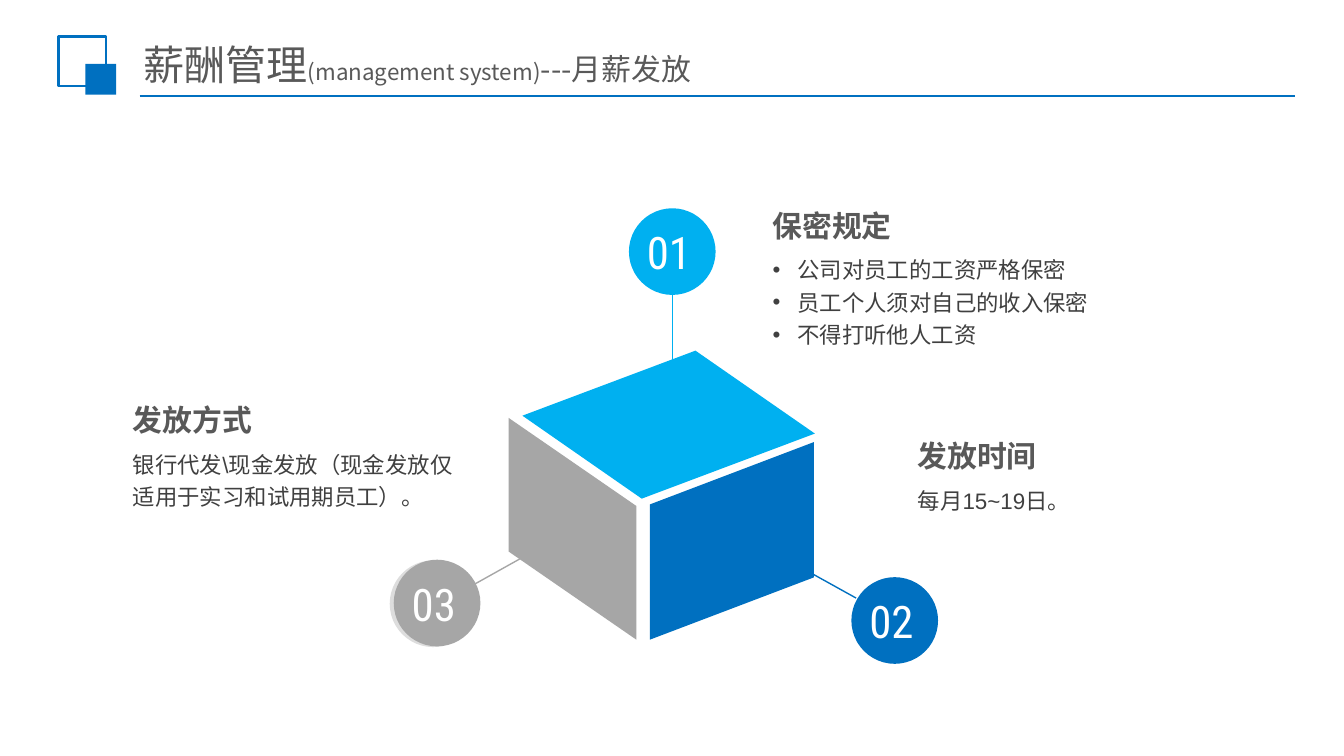
from typing import NamedTuple

from lxml import etree
from pptx import Presentation
from pptx.dml.color import RGBColor
from pptx.enum.shapes import MSO_CONNECTOR, MSO_SHAPE
from pptx.enum.text import MSO_ANCHOR, MSO_AUTO_SIZE, PP_ALIGN
from pptx.oxml.ns import qn
from pptx.util import Pt

PX = 4572
BLUE = RGBColor(0x00, 0x70, 0xC0)
SKY = RGBColor(0x00, 0xB0, 0xF0)
GRAY = RGBColor(0xA6, 0xA6, 0xA6)
PALE = RGBColor(0xDD, 0xDD, 0xDD)
WHITE = RGBColor(0xFF, 0xFF, 0xFF)
HEAD = RGBColor(0x59, 0x59, 0x59)
BODY = RGBColor(0x40, 0x40, 0x40)
RECT = MSO_SHAPE.RECTANGLE
OVAL = MSO_SHAPE.OVAL
SLANT = MSO_SHAPE.PARALLELOGRAM
STRAIGHT = MSO_CONNECTOR.STRAIGHT
GROW = MSO_AUTO_SIZE.SHAPE_TO_FIT_TEXT
FIXED = MSO_AUTO_SIZE.NONE
MIDDLE = MSO_ANCHOR.MIDDLE
LEFT = PP_ALIGN.LEFT
CJK = "Noto Sans CJK SC"
DISC = 129


class Box(NamedTuple):
    x: int
    y: int
    w: int
    h: int


class Face(NamedTuple):
    box: Box
    turn: float
    flip: str
    slant: float
    color: RGBColor


class Link(NamedTuple):
    x1: int
    y1: int
    x2: int
    y2: int
    color: RGBColor
    width: float = 0.75


class Badge(NamedTuple):
    num: str
    x: int
    y: int
    color: RGBColor


class Note(NamedTuple):
    x: int
    y: int
    head: str
    lines: list[str]
    high: int
    dots: bool = False


FACES = [
    Face(Box(796, 543, 398, 178), 339.4, "flipV", 0.69, SKY),
    Face(Box(687, 692, 330, 190), 90, "", 0.69, GRAY),
    Face(Box(942, 683, 294, 244), 90, "flipH", 0.38, BLUE),
]
LINKS = [
    Link(1001, 622, 1001, 438, SKY),
    Link(1090, 788, 1274, 890, BLUE),
    Link(852, 788, 698, 874, GRAY),
]
BADGES = [
    Badge("01", 936, 310, SKY),
    Badge("02", 1267, 859, BLUE),
    Badge("03", 586, 833, GRAY),
]
NOTES = [
    Note(1130, 299, "保密规定", [
        "公司对员工的工资严格保密",
        "员工个人须对自己的收入保密",
        "不得打听他人工资",
    ], 166, True),
    Note(178, 588, "发放方式",
         ["银行代发\\现金发放（现金发放仅适用于实习和试用期员工）。"], 118),
    Note(1346, 642, "发放时间", ["每月15~19日。"], 68),
]
TITLE = [("薪酬管理", 22), ("(management system)", 12), ("---月薪发放", 16)]


def scale(box: Box) -> list[int]:
    return [side * PX for side in box]


def style(run, size: int, color: RGBColor, face: str, bold: bool = False) -> None:
    font = run.font
    font.size = Pt(size)
    font.bold = bold
    font.color.rgb = color
    font.name = face
    east = etree.SubElement(run._r.get_or_add_rPr(), qn("a:ea"))
    east.set("typeface", CJK)


def draw(slide, kind, box: Box, fill: RGBColor | None = None,
         edge: RGBColor | None = None):
    shape = slide.shapes.add_shape(kind, *scale(box))
    shape.shadow.inherit = False
    if fill is None:
        shape.fill.background()
    else:
        shape.fill.solid()
        shape.fill.fore_color.rgb = fill
    if edge is None:
        shape.line.fill.background()
    else:
        shape.line.color.rgb = edge
        shape.line.width = Pt(1.5)
    return shape


def draw_face(slide, face: Face) -> None:
    shape = draw(slide, SLANT, face.box, face.color)
    shape.rotation = face.turn
    shape.adjustments[0] = face.slant
    if face.flip:
        shape._element.spPr.find(qn("a:xfrm")).set(face.flip, "1")


def draw_link(slide, link: Link) -> None:
    line = slide.shapes.add_connector(
        STRAIGHT, link.x1 * PX, link.y1 * PX, link.x2 * PX, link.y2 * PX)
    line.line.color.rgb = link.color
    line.line.width = Pt(link.width)
    etree.SubElement(line._element.spPr, qn("a:effectLst"))


def write(slide, box: Box, lines: list[str], size: int, color: RGBColor,
          face: str = "Arial", bold: bool = False):
    frame = slide.shapes.add_textbox(*scale(box)).text_frame
    frame.word_wrap = True
    frame.auto_size = GROW
    frame.text = "\n".join(lines)
    for para in frame.paragraphs:
        for run in para.runs:
            style(run, size, color, face, bold)
    return frame


def draw_badge(slide, badge: Badge) -> None:
    draw(slide, OVAL, Box(badge.x, badge.y, DISC, DISC), badge.color)
    write(slide, Box(badge.x + 7, badge.y + 15, 114, 100), [badge.num],
          24, WHITE, "Roboto Condensed")


def draw_note(slide, note: Note) -> None:
    write(slide, Box(note.x, note.y, 356, 74), [note.head], 16, HEAD, bold=True)
    frame = write(slide, Box(note.x, note.y + 65, 522, note.high),
                  note.lines, 12, BODY)
    for para in frame.paragraphs:
        para.line_spacing = 1.2
        if note.dots:
            props = para._p.get_or_add_pPr()
            props.set("marL", str(37 * PX))
            props.set("indent", str(-37 * PX))
            etree.SubElement(props, qn("a:buFont")).set("typeface", "Arial")
            etree.SubElement(props, qn("a:buChar")).set("char", "•")


def set_title(slide) -> None:
    title = slide.shapes.title
    title.left, title.top, title.width, title.height = scale(Box(199, 59, 1290, 72))
    frame = title.text_frame
    frame.auto_size = FIXED
    frame.word_wrap = True
    frame.vertical_anchor = MIDDLE
    frame.margin_left = frame.margin_right = 15 * PX
    frame.margin_top = frame.margin_bottom = 8 * PX
    para = frame.paragraphs[0]
    para.alignment = LEFT
    for text, size in TITLE:
        run = para.add_run()
        run.text = text
        style(run, size, HEAD, CJK)


def main() -> None:
    deck = Presentation()
    deck.slide_width, deck.slide_height = 2000 * PX, 1125 * PX
    slide = deck.slides.add_slide(deck.slide_layouts[5])
    set_title(slide)
    draw_link(slide, Link(208, 143, 1927, 143, BLUE, 1.25))
    draw(slide, RECT, Box(87, 54, 71, 74), edge=BLUE)
    draw(slide, RECT, Box(127, 95, 46, 46), BLUE)
    for face in FACES:
        draw_face(slide, face)
    for link in LINKS:
        draw_link(slide, link)
    draw(slide, OVAL, Box(580, 834, DISC, DISC), PALE)
    for badge in BADGES:
        draw_badge(slide, badge)
    for note in NOTES:
        draw_note(slide, note)
    deck.save("out.pptx")


if __name__ == "__main__":
    main()
